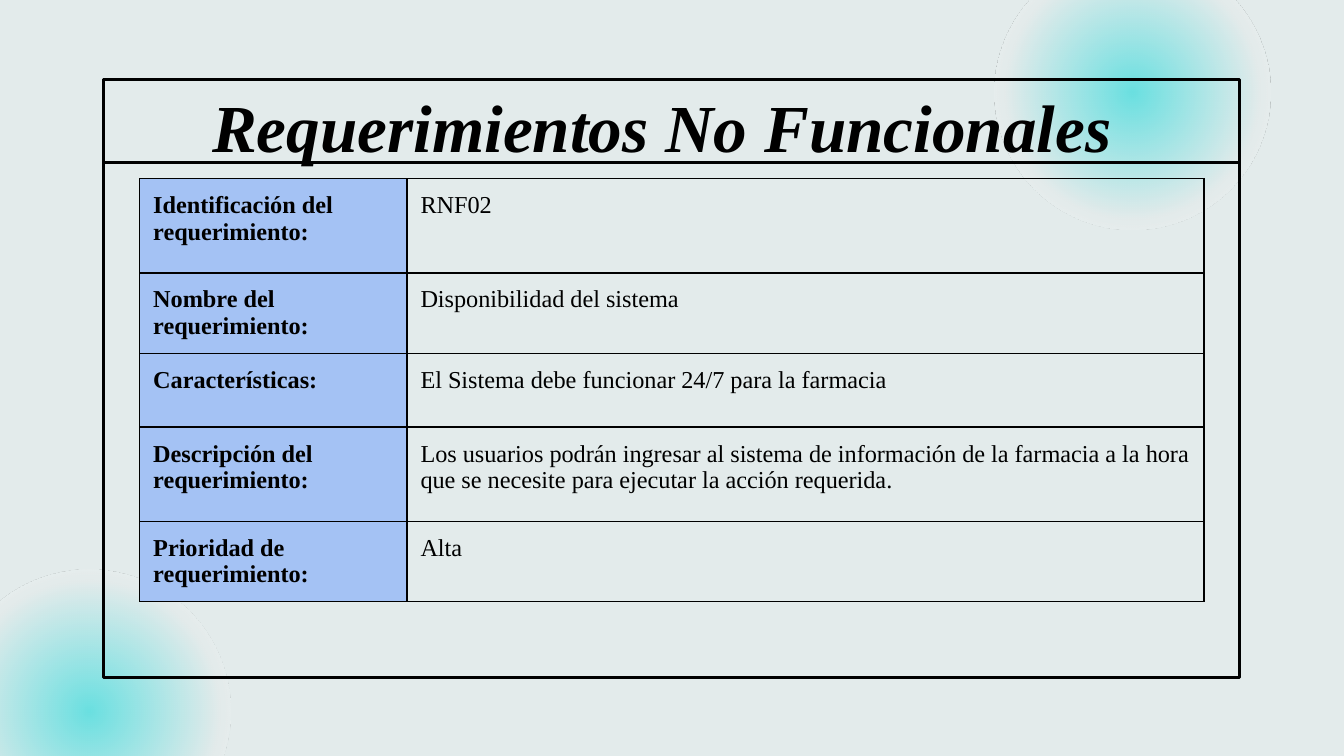
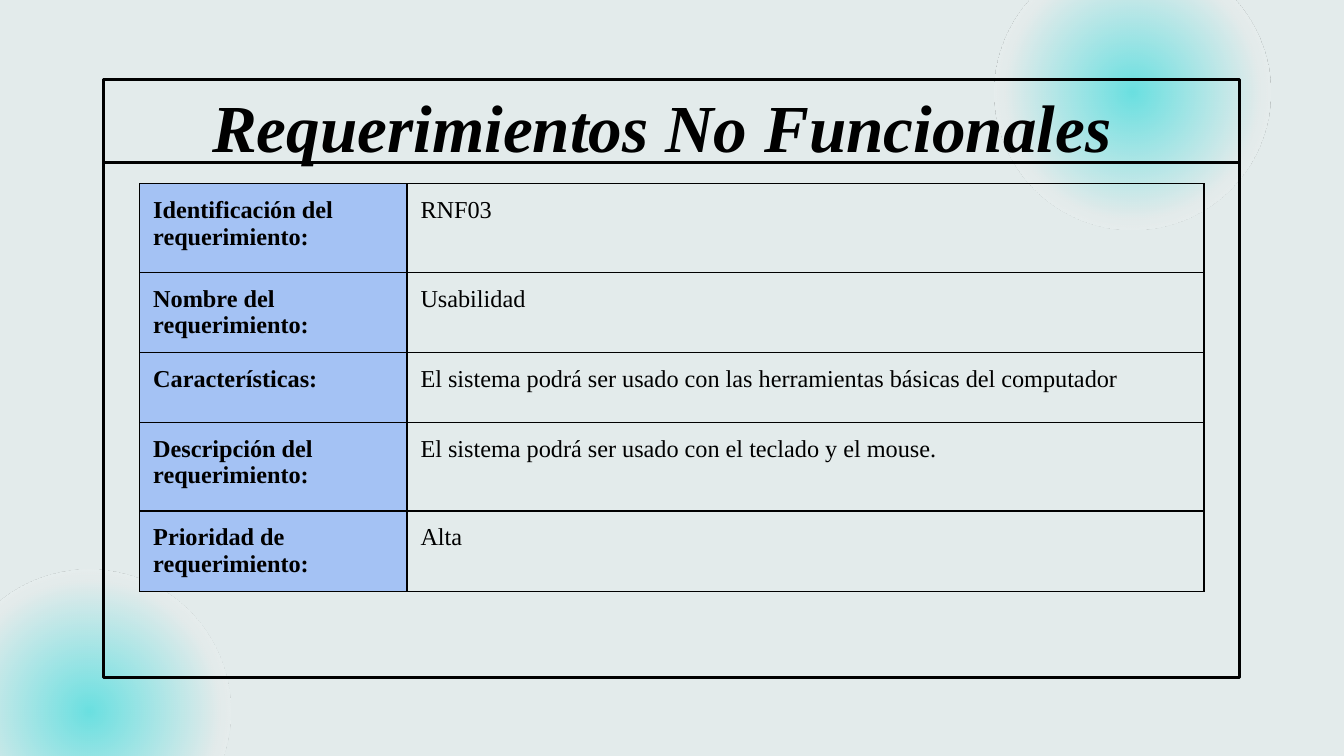
import pptx
import pptx.chart.data
import pptx.dml.color
import pptx.enum.shapes
import pptx.enum.text
import pptx.oxml
import pptx.oxml.ns
import pptx.util

Pt = pptx.util.Pt
HUES = {"back": "E3EBEB", "glow": "6AE0E1", "fade": "FFFFFF",
        "label": "A4C2F4", "ink": "000000"}
FONT = "Times New Roman"
INSET = 7.2
TITLE = "Requerimientos No Funcionales "
GLOWS = [(-28.1, 305.3, 151.2), (532.8, -24.5, 147.6)]
FRAME = (55.5, 42.5, 608.5, 320.5)
LABELS = ["Identificación del requerimiento:", "Nombre del requerimiento:",
          "Características:", "Descripción del requerimiento:",
          "Prioridad de requerimiento:"]
WIDTHS = [143.2, 427]
PAGES = [
    (95.8, 50.4, 39.6,
     ["RNF02", "Disponibilidad del sistema",
      "El Sistema debe funcionar 24/7 para la farmacia",
      "Los usuarios podrán ingresar al sistema de información de la farmacia "
      "a la hora que se necesite para ejecutar la acción requerida.",
      "Alta"]),
    (98.4, 47.5, 37.4,
     ["RNF03", "Usabilidad",
      "El sistema podrá ser usado con las herramientas básicas del computador",
      "El sistema podrá ser usado con el teclado y el mouse.",
      "Alta"]),
]
NS = pptx.oxml.ns.nsdecls("a")


def hue(name):
    return pptx.dml.color.RGBColor.from_string(HUES[name])


def style(frame, size, bold, slant=False):
    for run in frame.paragraphs[0].runs:
        font = run.font
        font.name, font.size = FONT, Pt(size)
        font.bold, font.italic = bold, slant
        font.color.rgb = hue("ink")


def pad(item):
    item.margin_left = item.margin_right = Pt(INSET)
    item.margin_top = item.margin_bottom = Pt(INSET)


def ink(line, width):
    line.color.rgb = hue("ink")
    line.width = Pt(width)


def add_glow(slide, left, top, size):
    disc = slide.shapes.add_shape(pptx.enum.shapes.MSO_SHAPE.OVAL,
                                  Pt(left), Pt(top), Pt(size), Pt(size))
    disc.rotation = 180
    disc.shadow.inherit = False
    disc.line.fill.background()
    disc.fill.background()
    blank = disc.element.spPr.find(pptx.oxml.ns.qn("a:noFill"))
    grad = pptx.oxml.parse_xml(
        f'<a:gradFill {NS}><a:gsLst>'
        f'<a:gs pos="0"><a:srgbClr val="{HUES["glow"]}"/></a:gs>'
        f'<a:gs pos="65000"><a:srgbClr val="{HUES["back"]}"/></a:gs>'
        f'<a:gs pos="100000"><a:srgbClr val="{HUES["fade"]}">'
        '<a:alpha val="0"/></a:srgbClr></a:gs></a:gsLst>'
        '<a:path path="circle">'
        '<a:fillToRect l="50000" t="50000" r="50000" b="50000"/>'
        '</a:path></a:gradFill>')
    blank.getparent().replace(blank, grad)


def add_frame(slide, left, top, width, height):
    box = slide.shapes.add_shape(pptx.enum.shapes.MSO_SHAPE.RECTANGLE,
                                 Pt(left), Pt(top), Pt(width), Pt(height))
    box.shadow.inherit = False
    box.fill.background()
    ink(box.line, 1.5)
    level = Pt(top + 44.6)
    rule = slide.shapes.add_connector(
        pptx.enum.shapes.MSO_CONNECTOR.STRAIGHT,
        Pt(left), level, Pt(left + width), level)
    ink(rule.line, 1.5)
    rule.element.spPr.append(pptx.oxml.parse_xml(f"<a:effectLst {NS}/>"))


def add_title(slide, left, top, width, height):
    title = slide.shapes.title
    title.element.getparent().append(title.element)
    title.left, title.top = Pt(left), Pt(top)
    title.width, title.height = Pt(width), Pt(height)
    frame = title.text_frame
    frame.text = TITLE
    frame.word_wrap = True
    frame.auto_size = pptx.enum.text.MSO_AUTO_SIZE.NONE
    frame.vertical_anchor = pptx.enum.text.MSO_ANCHOR.MIDDLE
    pad(frame)
    frame.paragraphs[0].alignment = pptx.enum.text.PP_ALIGN.CENTER
    style(frame, 36, True, True)


def edge(cell):
    props = cell._tc.get_or_add_tcPr()
    for side in "LRTB":
        props.append(pptx.oxml.parse_xml(
            f'<a:ln{side} {NS} w="{Pt(0.75)}"><a:solidFill>'
            f'<a:srgbClr val="{HUES["ink"]}"/></a:solidFill></a:ln{side}>'))


def add_grid(slide, left, top, tall, short, values):
    highs = [tall, short, short, tall, short]
    grid = slide.shapes.add_table(
        len(LABELS), len(WIDTHS), Pt(left), Pt(top),
        Pt(sum(WIDTHS)), Pt(sum(highs))).table
    grid.first_row = grid.horz_banding = False
    for col, width in zip(grid.columns, WIDTHS):
        col.width = Pt(width)
    for row, high, texts in zip(grid.rows, highs, zip(LABELS, values)):
        row.height = Pt(high)
        for spot, (cell, text) in enumerate(zip(row.cells, texts)):
            head = spot == 0
            cell.text_frame.text = text
            style(cell.text_frame, 13, head)
            pad(cell)
            edge(cell)
            if head:
                cell.fill.solid()
                cell.fill.fore_color.rgb = hue("label")
            else:
                cell.fill.background()


def add_page(deck, top, tall, short, values):
    slide = deck.slides.add_slide(deck.slide_layouts[5])
    for glow in GLOWS:
        add_glow(slide, *glow)
    add_frame(slide, *FRAME)
    add_title(slide, 54, 42.5, 610.5, 49.7)
    add_grid(slide, 74.9, top, tall, short, values)


def main():
    deck = pptx.Presentation()
    deck.slide_width, deck.slide_height = Pt(720), Pt(405)
    back = deck.slide_master.background.fill
    back.solid()
    back.fore_color.rgb = hue("back")
    for page in PAGES:
        add_page(deck, *page)
    deck.save("out.pptx")


if __name__ == "__main__":
    main()
